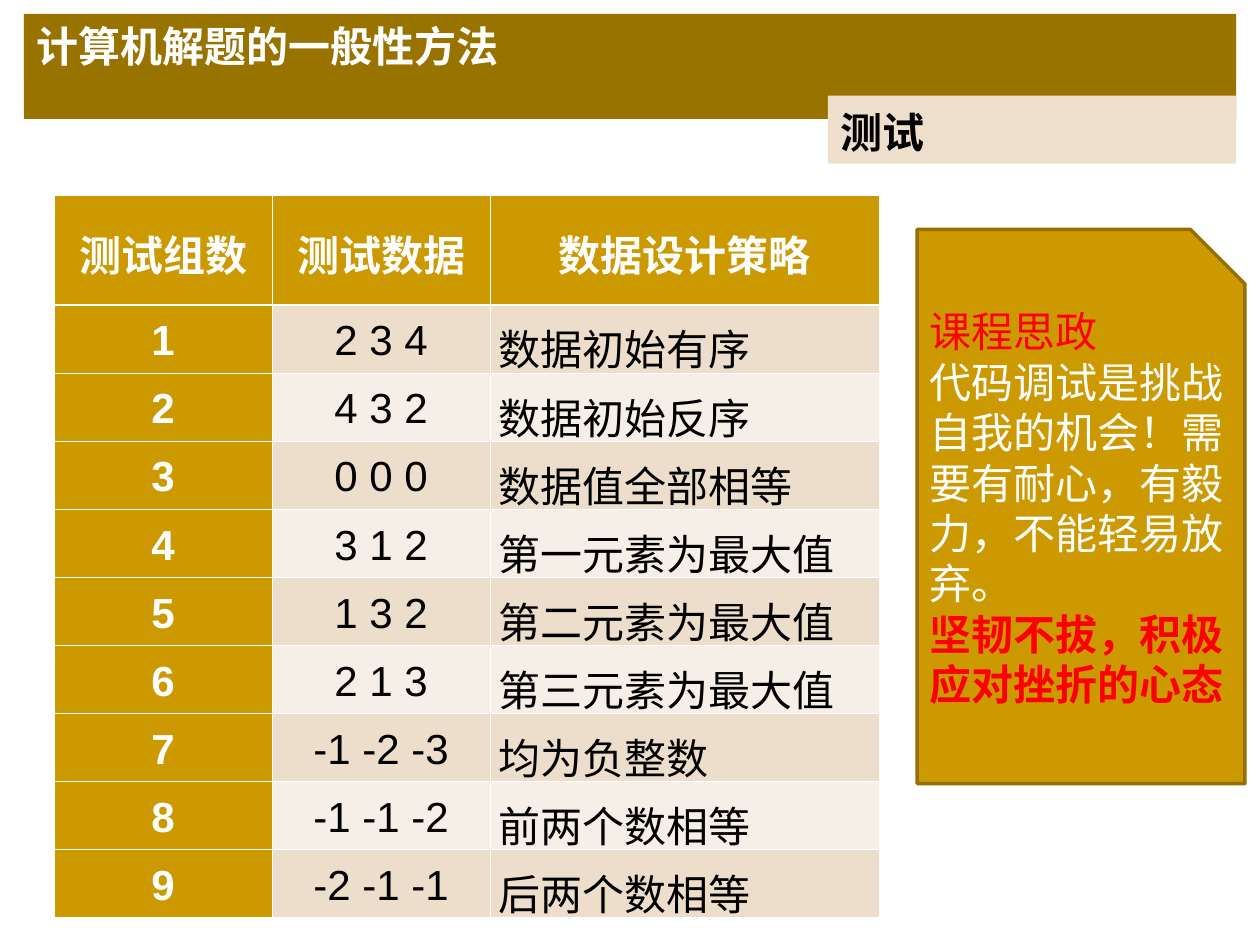
import pptx
import pptx.dml.color
import pptx.enum.shapes
import pptx.enum.text
import pptx.oxml.ns
import pptx.util
from lxml import etree

Inches = pptx.util.Inches
Pt = pptx.util.Pt
RGBColor = pptx.dml.color.RGBColor
Align = pptx.enum.text.PP_ALIGN
Anchor = pptx.enum.text.MSO_ANCHOR
AutoSize = pptx.enum.text.MSO_AUTO_SIZE
Shape = pptx.enum.shapes.MSO_SHAPE

WHITE = RGBColor(0xFF, 0xFF, 0xFF)
BLACK = RGBColor(0, 0, 0)
RED = RGBColor(0xFF, 0, 0)
AMBER = RGBColor(0xFF, 0xC0, 0)
BROWN = RGBColor(0x99, 0x73, 0)
DARK_BROWN = RGBColor(0x95, 0x6F, 0)
GOLD = RGBColor(0xCC, 0x99, 0)
SAND = RGBColor(0xEE, 0xDF, 0xCC)
BANDS = (RGBColor(0xEC, 0xDE, 0xCB), RGBColor(0xF6, 0xEF, 0xE7))

HEADINGS = ("测试组数", "测试数据", "数据设计策略")
TEST_GROUPS = (
    ("2 3 4", "数据初始有序"),
    ("4 3 2", "数据初始反序"),
    ("0 0 0", "数据值全部相等"),
    ("3 1 2", "第一元素为最大值"),
    ("1 3 2", "第二元素为最大值"),
    ("2 1 3", "第三元素为最大值"),
    ("-1 -2 -3", "均为负整数"),
    ("-1 -1 -2", "前两个数相等"),
    ("-2 -1 -1", "后两个数相等"),
)
LESSON = (
    ("课程思政", RED, False),
    ("代码调试是挑战自我的机会！需要有耐心，有毅力，不能轻易放弃。", WHITE, False),
    ("坚韧不拔，积极应对挫折的心态", RED, True),
)


def format_paragraph(paragraph, font_name, color, bold, align=Align.LEFT, spacing=1.0):
    paragraph.alignment = align
    paragraph.line_spacing = spacing
    paragraph.space_before = Pt(0)
    paragraph.font.name = font_name
    paragraph.font.size = Pt(24)
    paragraph.font.bold = bold
    paragraph.font.color.rgb = color


def add_filled_shape(slide, preset, box, color):
    shape = slide.shapes.add_shape(preset, *box)
    shape.shadow.inherit = False
    shape.fill.solid()
    shape.fill.fore_color.rgb = color
    shape.line.fill.background()
    return shape


def add_title_bar(slide, left, top, width, height):
    """Title over an amber band that shows as a thin line below it."""
    underline = add_filled_shape(
        slide, Shape.RECTANGLE, (left, top + Inches(0.01), width, height + Inches(0.01)), AMBER)
    title = slide.shapes.title
    underline.element.addnext(title.element)
    title.left, title.top, title.width, title.height = left, top, width, height
    title.fill.solid()
    title.fill.fore_color.rgb = BROWN
    frame = title.text_frame
    frame.text = "计算机解题的一般性方法"
    frame.vertical_anchor = Anchor.TOP
    frame.auto_size = AutoSize.SHAPE_TO_FIT_TEXT
    format_paragraph(frame.paragraphs[0], "Times New Roman", WHITE, True)


def add_section_label(slide, left, top, width, height):
    label = slide.shapes.add_textbox(left, top, width, height)
    label.fill.solid()
    label.fill.fore_color.rgb = SAND
    frame = label.text_frame
    frame.word_wrap = True
    frame.auto_size = AutoSize.SHAPE_TO_FIT_TEXT
    frame.text = "测试"
    format_paragraph(frame.paragraphs[0], "Times New Roman", BLACK, True, spacing=1.1)


def set_cell_borders(cell, top_width, bottom_width):
    properties = cell._tc.get_or_add_tcPr()
    widths = {"a:lnL": 0.45, "a:lnR": 0.45, "a:lnT": top_width, "a:lnB": bottom_width}
    for position, (tag, width) in enumerate(widths.items()):
        border = etree.Element(pptx.oxml.ns.qn(tag), w=str(Pt(width)))
        fill = etree.SubElement(border, pptx.oxml.ns.qn("a:solidFill"))
        etree.SubElement(fill, pptx.oxml.ns.qn("a:srgbClr"), val=str(WHITE))
        properties.insert(position, border)


def add_test_table(slide, left, top, width, height):
    rows = [HEADINGS] + [(str(n), *group) for n, group in enumerate(TEST_GROUPS, 1)]
    table = slide.shapes.add_table(len(rows), len(HEADINGS), left, top, width, height).table
    number_width = Inches(1.73)
    for column, column_width in zip(
            table.columns, (number_width, number_width, width - 2 * number_width)):
        column.width = column_width
    header_height = Inches(0.87)
    for r, texts in enumerate(rows):
        table.rows[r].height = header_height if r == 0 else (height - header_height) // len(TEST_GROUPS)
        for c, text in enumerate(texts):
            heading = r == 0 or c == 0
            cell = table.cell(r, c)
            cell.text = text
            cell.vertical_anchor = Anchor.MIDDLE
            cell.margin_left = cell.margin_right = Inches(0.07)
            cell.margin_top = cell.margin_bottom = Inches(0.05)
            cell.fill.solid()
            cell.fill.fore_color.rgb = GOLD if heading else BANDS[(r - 1) % 2]
            set_cell_borders(cell, 1.47 if r == 1 else 0.45, 1.47 if r == 0 else 0.45)
            format_paragraph(
                cell.text_frame.paragraphs[0], "Arial", WHITE if heading else BLACK, heading,
                Align.LEFT if c == 2 and r > 0 else Align.CENTER, 1.1)


def add_lesson_card(slide, left, top, width, height):
    card = add_filled_shape(slide, Shape.SNIP_1_RECTANGLE, (left, top, width, height), GOLD)
    card.line.color.rgb = DARK_BROWN
    card.line.width = Pt(2)
    frame = card.text_frame
    frame.word_wrap = True
    frame.vertical_anchor = Anchor.MIDDLE
    # The text runs the full width of the card, past the inset of the snipped corner.
    frame.margin_left = Inches(0.1)
    frame.margin_right = Inches(-0.1)
    frame.margin_top = Inches(-0.15)
    frame.margin_bottom = Inches(0.05)
    frame.text = "\n".join(text for text, _, _ in LESSON)
    for paragraph, (_, color, bold) in zip(frame.paragraphs, LESSON):
        format_paragraph(paragraph, "Inter", color, bold)


def main():
    presentation = pptx.Presentation()
    presentation.slide_width = Inches(10)
    presentation.slide_height = Inches(7.5)
    slide = presentation.slides.add_slide(presentation.slide_layouts.get_by_name("Title Only"))
    add_title_bar(slide, Inches(0.19), Inches(0.11), Inches(9.62), Inches(0.5))
    add_section_label(slide, Inches(6.57), Inches(0.76), Inches(3.24), Inches(0.54))
    add_test_table(slide, Inches(0.43), Inches(1.55), Inches(6.55), Inches(4.95))
    add_lesson_card(slide, Inches(7.28), Inches(1.82), Inches(2.6), Inches(4.4))
    presentation.save("out.pptx")


if __name__ == "__main__":
    main()
